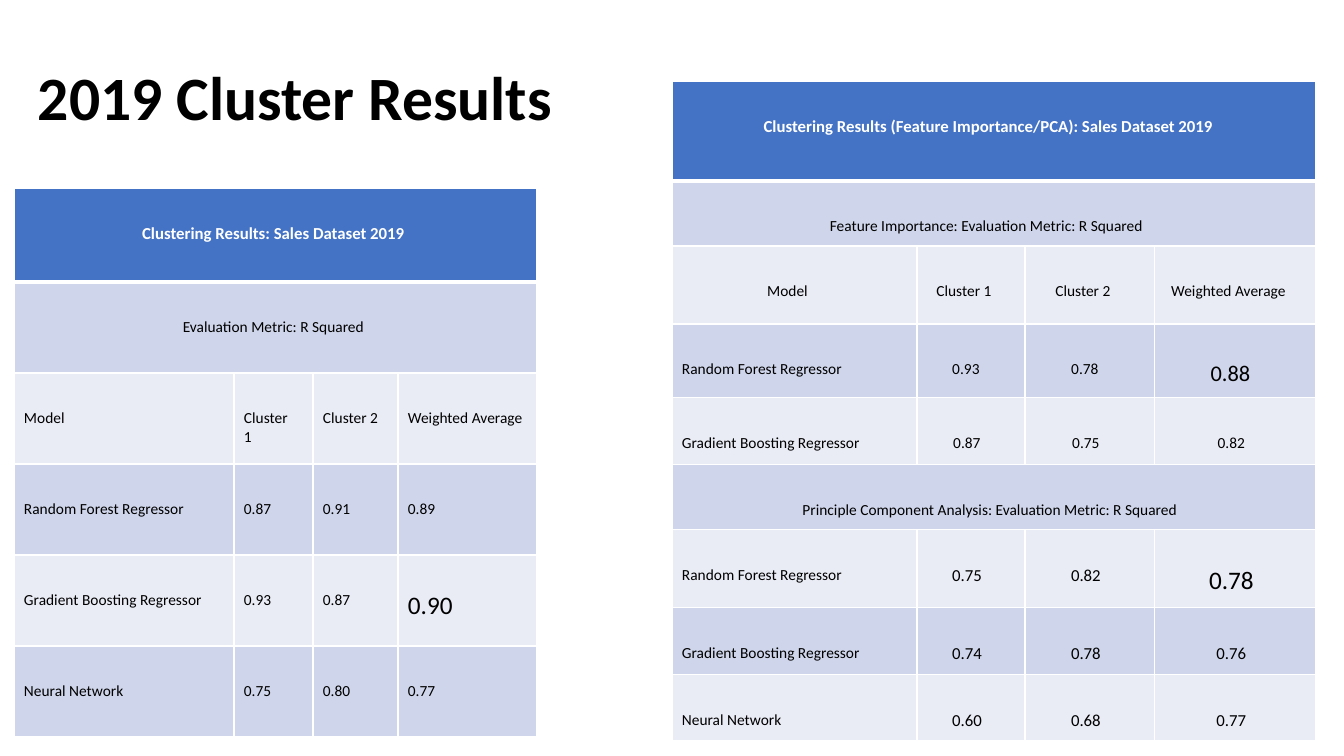
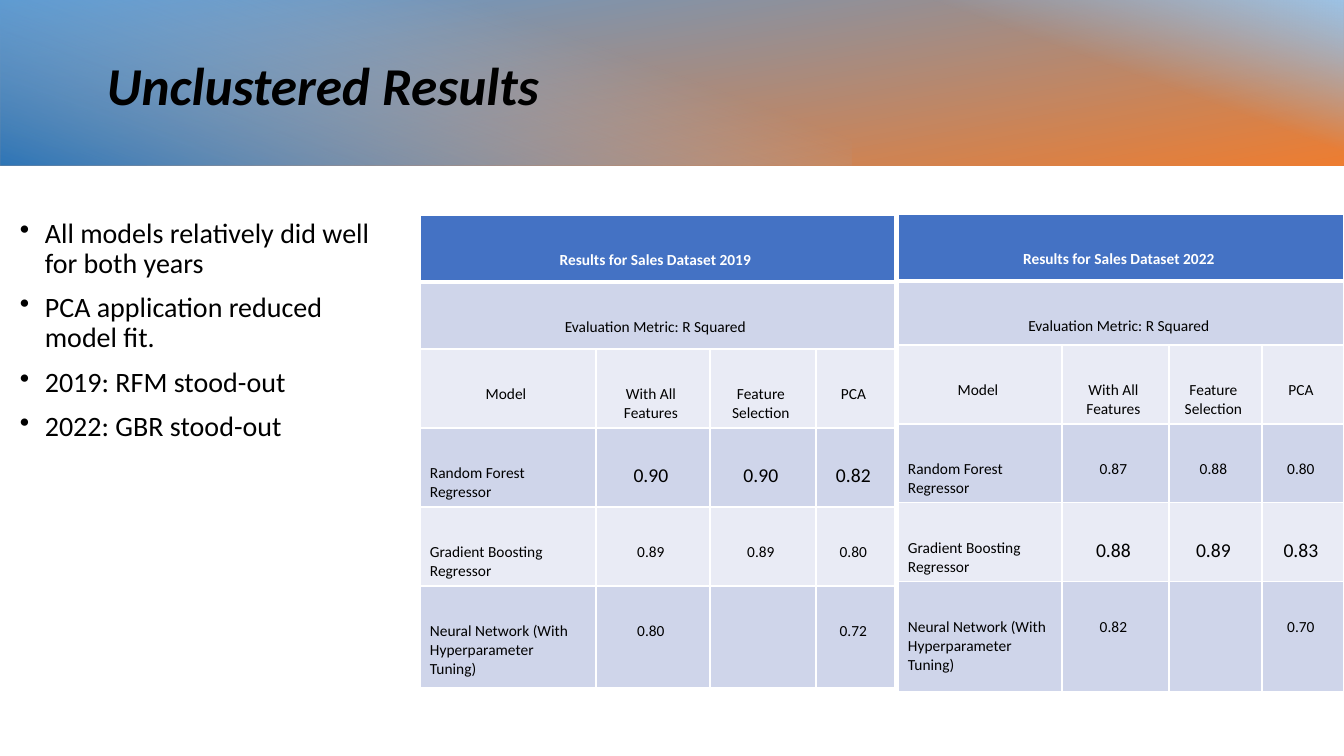
from lxml import etree
from pptx import Presentation
from pptx.dml.color import RGBColor
from pptx.enum.shapes import MSO_SHAPE
from pptx.enum.text import MSO_ANCHOR, PP_ALIGN
from pptx.oxml.ns import qn
from pptx.util import Pt

SCALE = 914400 / 100.8  # EMU in one px
WIDE, HIGH = 1344, 756
FONT = "Calibri"

BLACK = RGBColor(0x00, 0x00, 0x00)
WHITE = RGBColor(0xFF, 0xFF, 0xFF)
HEAD = RGBColor(0x44, 0x72, 0xC4)
DARK = RGBColor(0xCF, 0xD5, 0xEA)
LIGHT = RGBColor(0xE9, 0xEB, 0xF5)
BLUE = RGBColor(0x5B, 0x9B, 0xD5)
ORANGE = RGBColor(0xED, 0x7D, 0x31)
SKY = RGBColor(0x9D, 0xC3, 0xE6)
NAVY = RGBColor(0x2E, 0x75, 0xB6)

RECT = MSO_SHAPE.RECTANGLE
MIDDLE, TOP = MSO_ANCHOR.MIDDLE, MSO_ANCHOR.TOP
LEFT, CENTER, JUSTIFY = PP_ALIGN.LEFT, PP_ALIGN.CENTER, PP_ALIGN.JUSTIFY

SIDE, DROP = 10, 36  # cell margins: at the sides, above the text

FOREST = "Random Forest Regressor"
BOOST = "Gradient Boosting Regressor"
NEURAL = "Neural Network"
TUNED = "Neural Network (With Hyperparameter Tuning)"
METRIC = "Evaluation Metric: R Squared"


def px(num):
    return round(num * SCALE)


def write(frame, lines, size=11, color=BLACK, bold=False, italic=False,
          align=LEFT, gap=None, before=None, bullet=None):
    """Fill a text frame, one paragraph for each line."""
    frame.word_wrap = True
    for num, line in enumerate(lines):
        para = frame.add_paragraph() if num else frame.paragraphs[0]
        para.alignment = align
        if gap:
            para.line_spacing = gap
        if before:
            para.space_before = Pt(before)
        if bullet:
            props = para._p.get_or_add_pPr()
            props.set("marL", str(px(25)))
            props.set("indent", str(px(-25)))
            etree.SubElement(props, qn("a:buChar"), char=bullet)
        run = para.add_run()
        run.text = line
        font = run.font
        font.name, font.size = FONT, Pt(size)
        font.bold, font.italic = bold, italic
        font.color.rgb = color


def label(slide, box, lines, anchor=TOP, **style):
    shape = slide.shapes.add_textbox(*map(px, box))
    shape.text_frame.vertical_anchor = anchor
    write(shape.text_frame, lines, gap=0.9, **style)


def title(slide, box, text, **style):
    label(slide, box, [text], anchor=MIDDLE, bold=True, **style)


# Tables
def border(cell, top=1, bottom=1):
    props = cell._tc.get_or_add_tcPr()
    for tag, width in (("L", 1), ("R", 1), ("T", top), ("B", bottom)):
        line = etree.SubElement(props, qn("a:ln" + tag), w=str(Pt(width)))
        fill = etree.SubElement(line, qn("a:solidFill"))
        etree.SubElement(fill, qn("a:srgbClr"), val=str(WHITE))


def table(slide, spot, cols, highs, rows, head=11, align=CENTER, pads=None):
    """Rows with one cell span the table; a cell is a text or (text, size)."""
    box = (*spot, sum(cols), sum(highs))
    grid = slide.shapes.add_table(len(rows), len(cols), *map(px, box)).table
    for col, width in zip(grid.columns, cols):
        col.width = px(width)
    for num, (cells, high) in enumerate(zip(rows, highs)):
        grid.rows[num].height = px(high)
        for cell in grid.rows[num].cells:
            border(cell, 3 if num == 1 else 1, 1 if num else 3)
            cell.fill.solid()
            cell.fill.fore_color.rgb = (DARK if num % 2 else LIGHT) if num else HEAD
        wide = len(cells) == 1
        if wide:
            grid.cell(num, 0).merge(grid.cell(num, len(cols) - 1))
        for spot_num, item in enumerate(cells):
            if not item:
                continue
            text, size = item if isinstance(item, tuple) else (item, 11)
            cell = grid.cell(num, spot_num)
            cell.margin_top = px(DROP)
            cell.margin_left = px(SIDE)
            cell.margin_right = px(SIDE + (pads[num] if pads else 4))
            side = align
            if wide:
                side = CENTER
            elif spot_num == 0 and text != "Model" and align == CENTER:
                side = LEFT
            write(cell.text_frame, [text], size=size if num else head, align=side,
                  color=BLACK if num else WHITE, bold=num == 0)


# Gradient band across the top
def blend(slide, box, turn, angle, stops):
    """Quarter-turned rectangle that covers the box; stops: place, colour, opacity."""
    left, top, width, high = box
    shift = (width - high) / 2
    shape = slide.shapes.add_shape(RECT, px(left + shift), px(top - shift),
                                   px(high), px(width))
    shape.rotation = turn
    grad = etree.SubElement(shape._element.spPr, qn("a:gradFill"), rotWithShape="1")
    marks = etree.SubElement(grad, qn("a:gsLst"))
    for place, color, solid in stops:
        mark = etree.SubElement(marks, qn("a:gs"), pos=str(place * 1000))
        tint = etree.SubElement(mark, qn("a:srgbClr"), val=str(color))
        if solid < 100:
            etree.SubElement(tint, qn("a:alpha"), val=str(solid * 1000))
    etree.SubElement(grad, qn("a:lin"), ang=str(angle * 60000), scaled="0")
    shape.line.fill.background()
    shape.shadow.inherit = False


def banner(slide, box):
    left, top, width, high = box
    blend(slide, box, 270, 170, [(0, BLUE, 100), (100, ORANGE, 100)])
    blend(slide, (left + width - 557, top, 557, high), 270, 20,
          [(59, SKY, 0), (100, SKY, 100)])
    blend(slide, (left, top, 851, high), 90, 20,
          [(29, SKY, 0), (100, NAVY, 100)])


def cluster(slide):
    title(slide, (28, 28, 1159, 146), "2019 Cluster Results", size=44)
    names = ["Model", "Cluster 1", "Cluster 2", "Weighted Average"]
    table(slide, (14, 188), [220, 79, 85, 139], [94] + [91] * 5, [
        ["Clustering Results: Sales Dataset 2019"],
        [METRIC],
        names,
        [FOREST, "0.87", "0.91", "0.89"],
        [BOOST, "0.93", "0.87", ("0.90", 18)],
        [NEURAL, "0.75", "0.80", "0.77"],
    ], head=12, align=JUSTIFY)
    table(slide, (672, 81), [245, 108, 130, 161],
          [100, 65, 78, 74, 67, 65, 78, 67, 66], [
        ["Clustering Results (Feature Importance/PCA): Sales Dataset 2019"],
        ["Feature Importance: " + METRIC],
        names,
        [FOREST, "0.93", "0.78", ("0.88", 16)],
        [BOOST, "0.87", "0.75", "0.82"],
        ["Principle Component Analysis: " + METRIC],
        [FOREST, ("0.75", 12), ("0.82", 12), ("0.78", 18)],
        [BOOST, ("0.74", 12), ("0.78", 12), ("0.76", 12)],
        [NEURAL, ("0.60", 12), ("0.68", 12), ("0.77", 12)],
    ], head=12, pads=[11, 15, 14, 10, 8, 8, 8, 8, 8])


def whole(slide):
    banner(slide, (0, 0, WIDE, 165))
    title(slide, (97, 33, 1155, 111), "Unclustered Results", size=38, italic=True)
    names = ["Model", "With All Features", "Feature Selection", "PCA"]
    table(slide, (898, 214), [164, 107, 93, 82], [67, 64, 79, 79, 79, 110], [
        ["Results for Sales Dataset 2022"],
        [METRIC],
        names,
        [FOREST, "0.87", "0.88", "0.80"],
        [BOOST, ("0.88", 14), ("0.89", 14), ("0.83", 14)],
        [TUNED, "0.82", "", "0.70"],
    ])
    table(slide, (420, 215), [176, 114, 106, 79], [67, 67, 79, 79, 79, 102], [
        ["Results for Sales Dataset 2019"],
        [METRIC],
        names,
        [FOREST, ("0.90", 14), ("0.90", 14), ("0.82", 14)],
        [BOOST, "0.89", "0.89", "0.80"],
        [TUNED, "0.80", "", "0.72"],
    ])
    label(slide, (10, 214, 384, 475), [
        "All models relatively did well for both years",
        "PCA application reduced model fit.",
        "2019: RFM stood-out",
        "2022: GBR stood-out",
    ], size=20, before=10, bullet="•")


def main():
    deck = Presentation()
    deck.slide_width, deck.slide_height = px(WIDE), px(HIGH)
    for build in (cluster, whole):
        build(deck.slides.add_slide(deck.slide_layouts[6]))
    deck.save("out.pptx")


if __name__ == "__main__":
    main()
